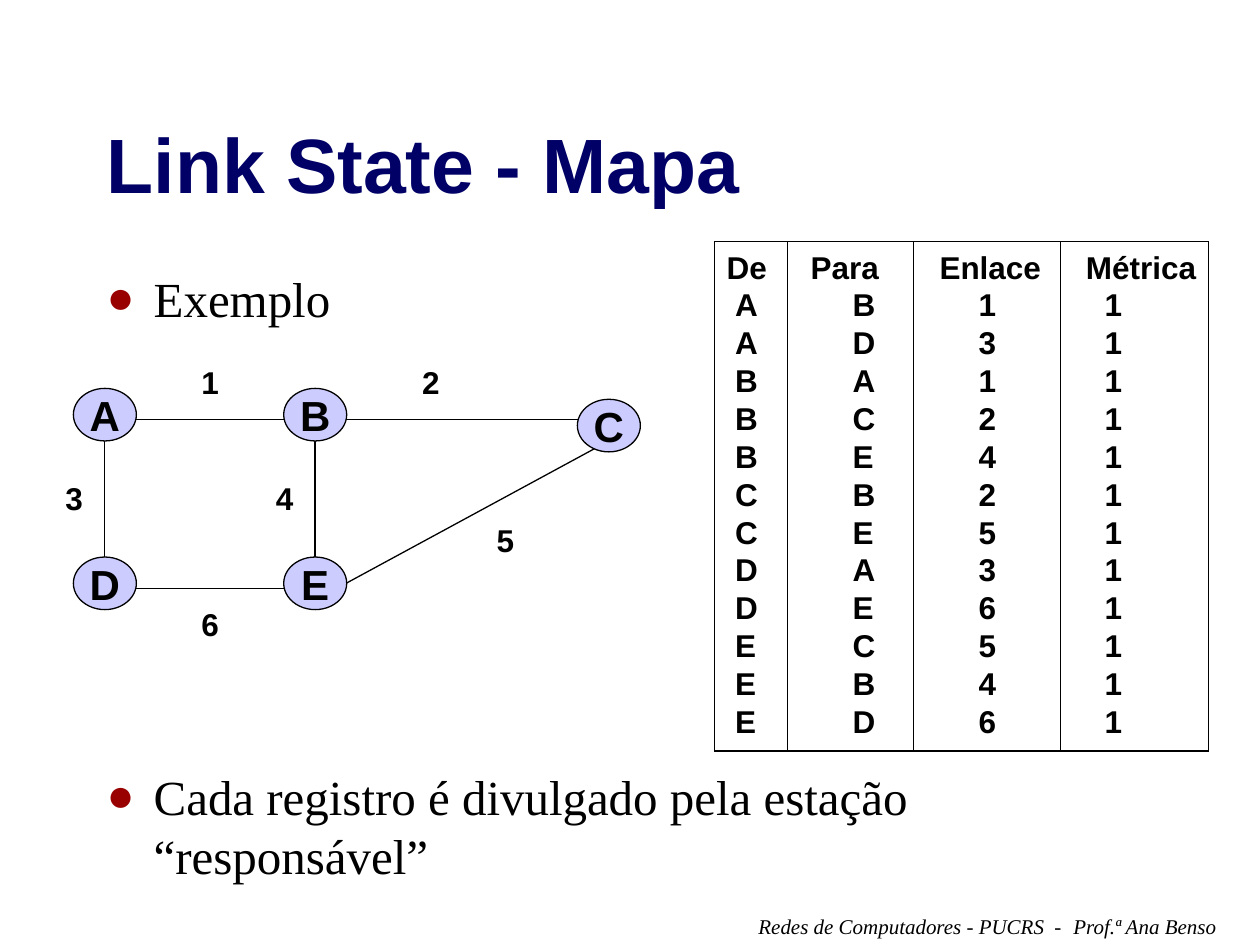
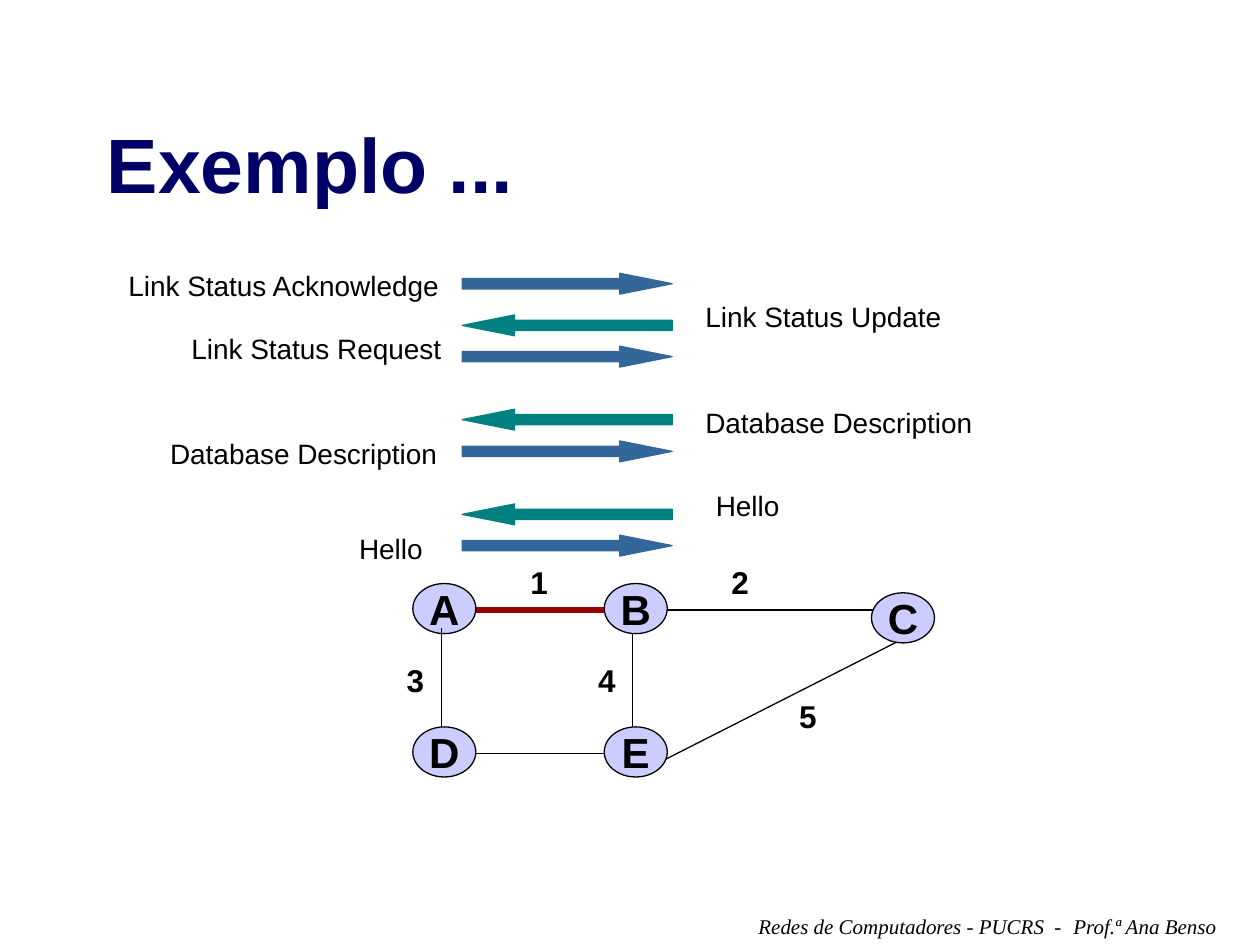
from lxml import etree
from pptx import Presentation
from pptx.dml.color import RGBColor
from pptx.enum.shapes import MSO_CONNECTOR, MSO_SHAPE
from pptx.enum.text import MSO_ANCHOR, MSO_AUTO_SIZE, PP_ALIGN
from pptx.oxml.ns import qn
from pptx.util import Cm, Pt

# Shared look
BLACK, NAVY, RED = "000000", "000066", "990000"
LILAC, BLUE, TEAL = "CCCCFF", "336699", "008080"
SANS, SERIF = "Arial", "Times New Roman"
THIN = 0.75

# Network map, in cm from the corner of its box
NODE_W = 1.27
NODES = {"A": (0.41, 0.64), "B": (4.65, 0.64), "C": (10.57, 0.86),
         "D": (0.41, 4.04), "E": (4.65, 4.04)}
AB = (1.47, 1.27, 4.85, 1.27)
LINKS = [(5.71, 1.27, 10.8, 1.27), (1.04, 1.7, 1.04, 4.24),
         (1.47, 4.67, 4.85, 4.67), (5.28, 1.7, 5.28, 4.24)]
LINK_LABELS = {"1": (2.74, 0), "2": (7.19, 0), "3": (0, 2.34),
               "4": (4.24, 2.34), "5": (8.69, 3.18), "6": (2.74, 4.88)}

# Link state table
HEADER = ("De", "Para", "Enlace", "Métrica")
RECORDS = ["AB1", "AD3", "BA1", "BC2", "BE4", "CB2",
           "CE5", "DA3", "DE6", "EC5", "EB4", "ED6"]
COL_WIDTHS = (1.47, 2.54, 2.97, 2.98)
HEADER_INDENTS = (0.25, 0.47, 0.53, 0.51)
RECORD_INDENTS = (0.42, 1.32, 1.32, 0.89)

# Messages: text, label left, label top, label width, arrow top
MESSAGES = [
    ("Link Status Acknowledge", 0, 0, 6.78, 0.23),
    ("Link Status Update", 11.63, 0.64, 5.26, 1.07),
    ("Link Status Request", 1.27, 1.27, 5.54, 1.7),
    ("Database Description", 11.63, 2.77, 5.89, 2.97),
    ("Database Description", 0.84, 3.4, 5.89, 3.61),
    ("Hello", 11.84, 4.45, 2, 4.88),
    ("Hello", 4.65, 5.31, 2, 5.51),
]
ARROW_LEFT = 6.98


def rgb(color):
    return RGBColor.from_string(color)


def style(p, size, font=SANS, color=BLACK, bold=False, italic=False):
    for r in p.runs:
        f = r.font
        f.name, f.size, f.bold, f.italic = font, Pt(size), bold, italic
        f.color.rgb = rgb(color)


def add_label(s, text, x, y, w, h, size, **look):
    """One line of text, left aligned in a box at least as wide."""
    tb = s.shapes.add_textbox(Cm(x), Cm(y), Cm(w), Cm(h))
    tf = tb.text_frame
    tf.word_wrap = False
    tf.text = text
    style(tf.paragraphs[0], size, **look)


def add_line(s, x1, y1, x2, y2, color=BLACK, width=THIN):
    c = s.shapes.add_connector(MSO_CONNECTOR.STRAIGHT,
                               Cm(x1), Cm(y1), Cm(x2), Cm(y2))
    c.line.color.rgb = rgb(color)
    c.line.width = Pt(width)
    etree.SubElement(c._element.spPr, qn("a:effectLst"))


def add_filled(s, kind, x, y, w, h, fill, line):
    sp = s.shapes.add_shape(kind, Cm(x), Cm(y), Cm(w), Cm(h))
    sp.shadow.inherit = False
    sp.fill.solid()
    sp.fill.fore_color.rgb = rgb(fill)
    sp.line.color.rgb = rgb(line)
    sp.line.width = Pt(THIN)
    return sp


def add_titled_slide(prs, title):
    """Slide with the shared title style and footer."""
    s = prs.slides.add_slide(prs.slide_layouts[5])
    sp = s.shapes.title
    sp.left, sp.top, sp.width, sp.height = Cm(1.9), Cm(1.69), Cm(21.6), Cm(3.17)
    tf = sp.text_frame
    tf.text = title
    tf.auto_size = MSO_AUTO_SIZE.NONE
    tf.vertical_anchor = MSO_ANCHOR.MIDDLE
    p = tf.paragraphs[0]
    p.alignment = PP_ALIGN.LEFT
    style(p, 44, color=NAVY, bold=True)
    for text, x, w in (("Prof.ª Ana Benso", 21.39, 3.4),
                       ("Redes de Computadores - PUCRS  -", 15.04, 6.63)):
        add_label(s, text, x, 18.29, w, 0.76, 12, font=SERIF, italic=True)
    return s


def add_bullets(s, x, y, w, h, items):
    """Bulleted text; items are (text, space before in points)."""
    tf = s.shapes.add_textbox(Cm(x), Cm(y), Cm(w), Cm(h)).text_frame
    tf.word_wrap = True
    for i, (text, before) in enumerate(items):
        p = tf.add_paragraph() if i else tf.paragraphs[0]
        p.text = text
        p.space_before = Pt(before)
        style(p, 28, font=SERIF)
        pPr = p._p.get_or_add_pPr()
        pPr.set("marL", str(Cm(0.95)))
        pPr.set("indent", str(-Cm(0.95)))
        clr = etree.SubElement(pPr, qn("a:buClr"))
        etree.SubElement(clr, qn("a:srgbClr"), val=RED)
        etree.SubElement(pPr, qn("a:buSzPct"), val="95000")
        etree.SubElement(pPr, qn("a:buFont"), typeface=SERIF)
        etree.SubElement(pPr, qn("a:buChar"), char="●")


def add_network(s, x, y, labels, ec, sx=1, sy=1, node_h=1.06,
                ab_color=BLACK, ab_width=THIN):
    """Five nodes and their links, with the distances scaled by sx and sy."""
    def at(dx, dy):
        return x + dx * sx, y + dy * sy

    def link(x1, y1, x2, y2, **look):
        add_line(s, *at(x1, y1), *at(x2, y2), **look)

    def node(name):
        sp = add_filled(s, MSO_SHAPE.OVAL, *at(*NODES[name]), NODE_W, node_h,
                        LILAC, BLACK)
        tf = sp.text_frame
        tf.word_wrap = False
        tf.vertical_anchor = MSO_ANCHOR.MIDDLE
        tf.text = name
        p = tf.paragraphs[0]
        p.alignment = PP_ALIGN.CENTER
        style(p, 24, bold=True)

    link(*AB, color=ab_color, width=ab_width)
    node("A")
    for ends in LINKS + [ec]:
        link(*ends)
    for text in labels:
        add_label(s, text, *at(*LINK_LABELS[text]), 0.86, 1.02, 18, bold=True)
    for name in "BCDE":
        node(name)


def set_borders(cell, top, bottom):
    """Black sides; top and bottom only where asked."""
    tcPr = cell._tc.get_or_add_tcPr()
    sides = (("L", True), ("R", True), ("T", top), ("B", bottom))
    for i, (side, shown) in enumerate(sides):
        ln = etree.Element(qn(f"a:ln{side}"), w=str(Pt(THIN)))
        if shown:
            fill = etree.SubElement(ln, qn("a:solidFill"))
            etree.SubElement(fill, qn("a:srgbClr"), val=BLACK)
        else:
            etree.SubElement(ln, qn("a:noFill"))
        tcPr.insert(i, ln)


def add_link_table(s, x, y, w, h):
    rows = [HEADER] + [(*record, "1") for record in RECORDS]
    last = len(rows) - 1
    pad = 0.18
    tbl = s.shapes.add_table(len(rows), len(HEADER),
                             Cm(x), Cm(y), Cm(w), Cm(h)).table
    tbl.first_row = tbl.horz_banding = False
    for col, width in zip(tbl.columns, COL_WIDTHS):
        col.width = Cm(width)
    for i, values in enumerate(rows):
        row_h = (h - 2 * pad) / len(rows)
        tbl.rows[i].height = Cm(row_h + (pad if i in (0, last) else 0))
        indents = RECORD_INDENTS if i else HEADER_INDENTS
        for j, (value, indent) in enumerate(zip(values, indents)):
            cell = tbl.cell(i, j)
            cell.margin_left = Cm(indent)
            cell.margin_right = cell.margin_bottom = 0
            cell.margin_top = 0 if i else Cm(pad)
            cell.text = value
            style(cell.text_frame.paragraphs[0], 18, bold=True)
            cell.fill.background()
            set_borders(cell, top=i == 0, bottom=i == last)


def add_messages(s, x, y):
    """Exchange between A and B: arrows point away from their labels."""
    for text, dx, dy, w, arrow_y in MESSAGES:
        add_label(s, text, x + dx, y + dy, w, 0.94, 16)
        from_a = dx < ARROW_LEFT
        kind = MSO_SHAPE.RIGHT_ARROW if from_a else MSO_SHAPE.LEFT_ARROW
        color = BLUE if from_a else TEAL
        sp = add_filled(s, kind, x + ARROW_LEFT, y + arrow_y, 4.23, 0.42,
                        color, color)
        sp.adjustments[0], sp.adjustments[1] = 0.5, 2.51


def add_map_slide(prs):
    s = add_titled_slide(prs, "Link State - Mapa")
    add_bullets(s, 1.9, 5.29, 21.6, 12.9, [
        ("Exemplo", 7),
        ("Cada registro é divulgado pela estação “responsável”", 251)])
    add_network(s, 1.07, 7.19, "123456", ec=(5.72, 4.67, 11.2, 1.7))
    add_link_table(s, 14.4, 4.87, 9.96, 10.16)


def add_exchange_slide(prs):
    s = add_titled_slide(prs, "Exemplo ...")
    add_network(s, 7.95, 11.22, "12345", ec=(5.69, 4.98, 11.73, 1.7),
                sx=0.91, sy=0.85, node_h=1.01, ab_color=RED, ab_width=3)
    add_messages(s, 2.34, 5.28)


def main():
    prs = Presentation()
    prs.slide_width, prs.slide_height = Cm(25.4), Cm(19.05)
    add_map_slide(prs)
    add_exchange_slide(prs)
    prs.save("out.pptx")


if __name__ == "__main__":
    main()
